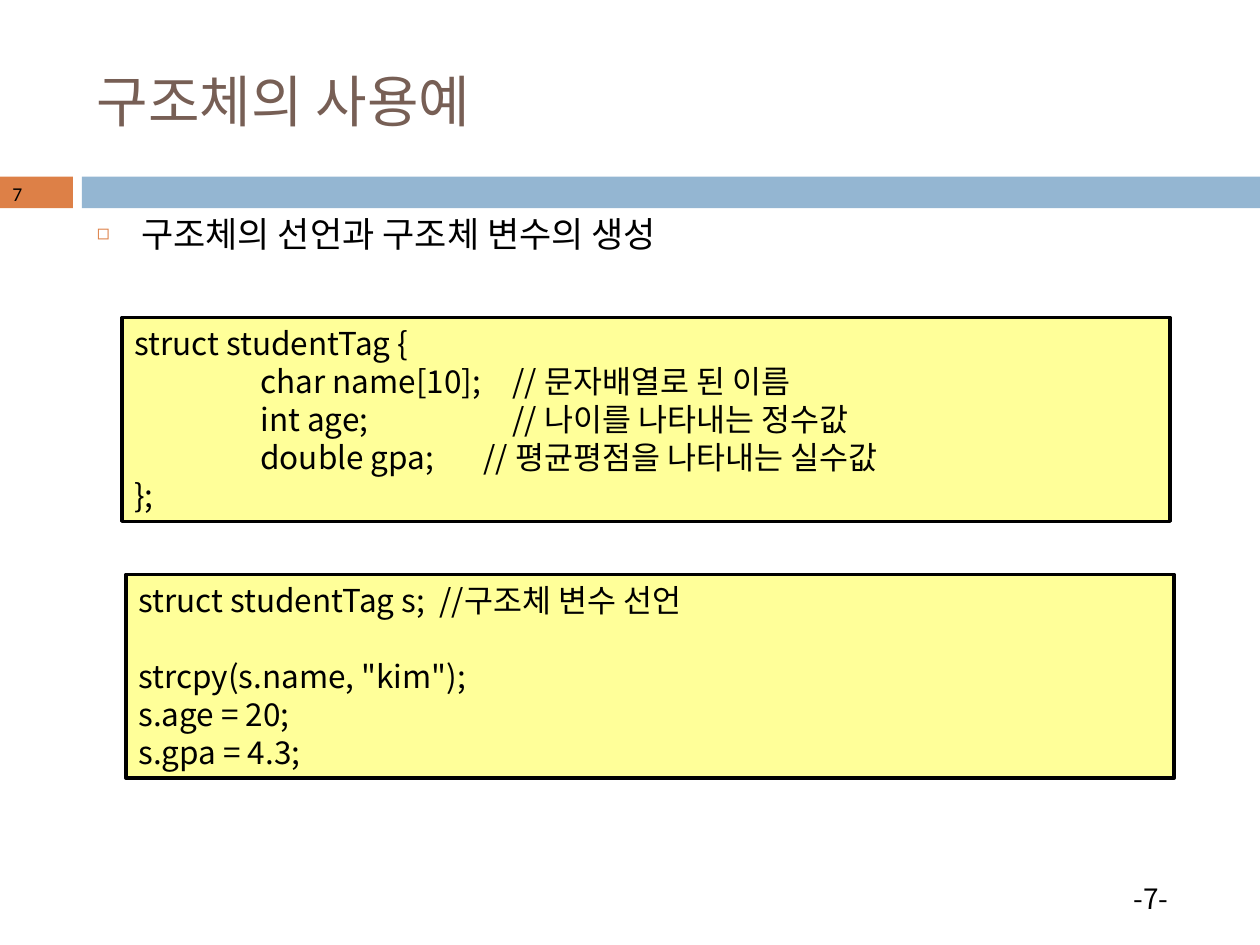
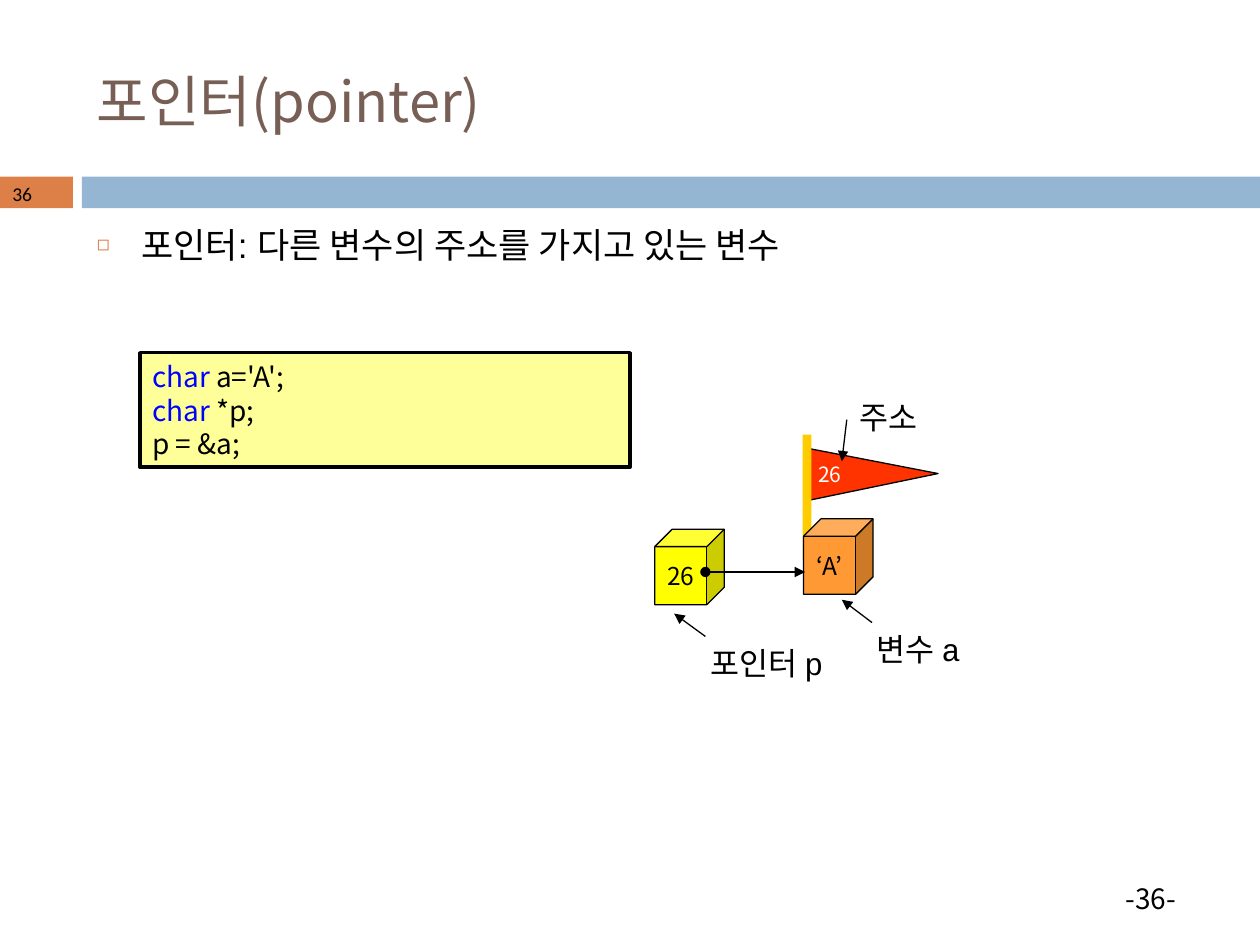
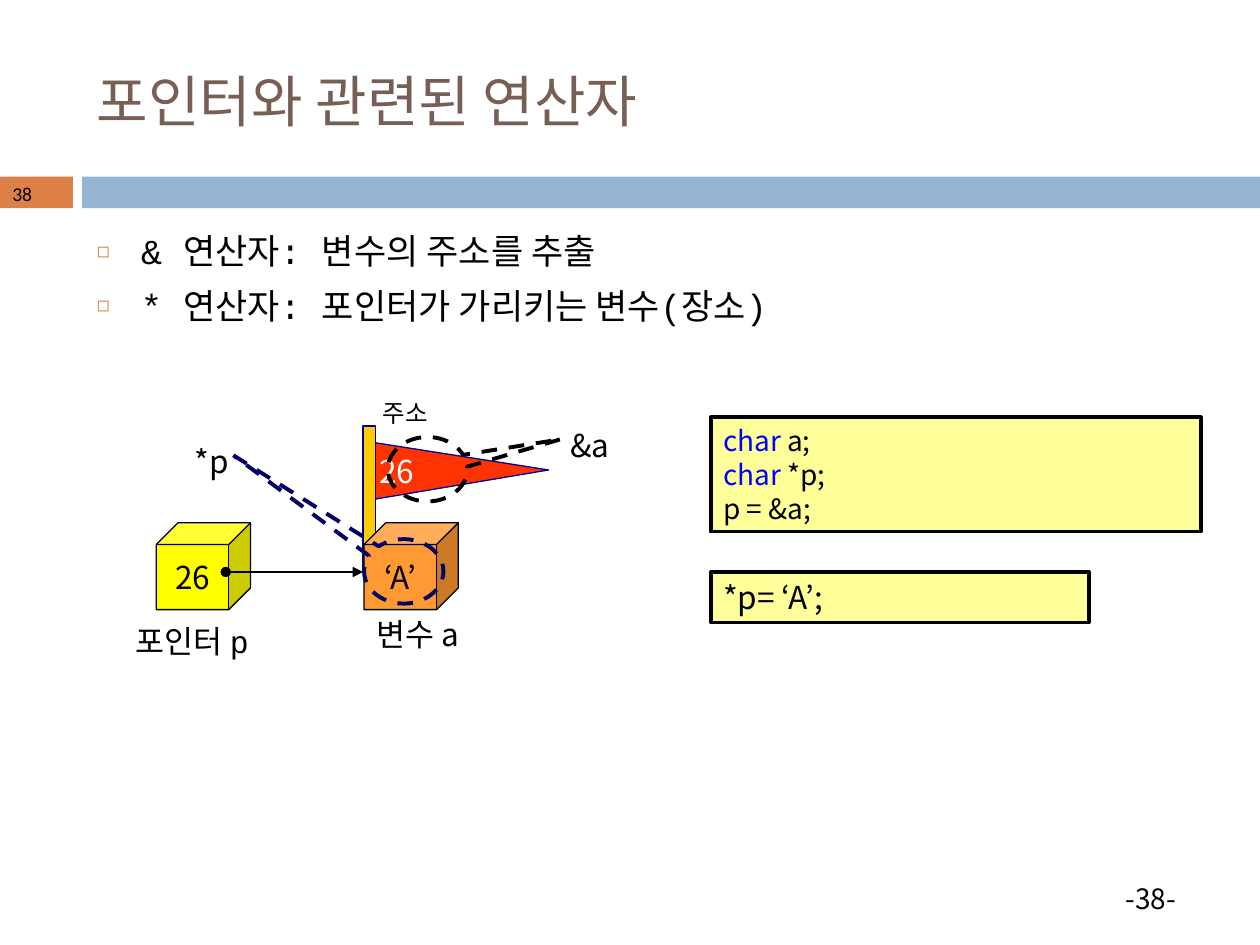
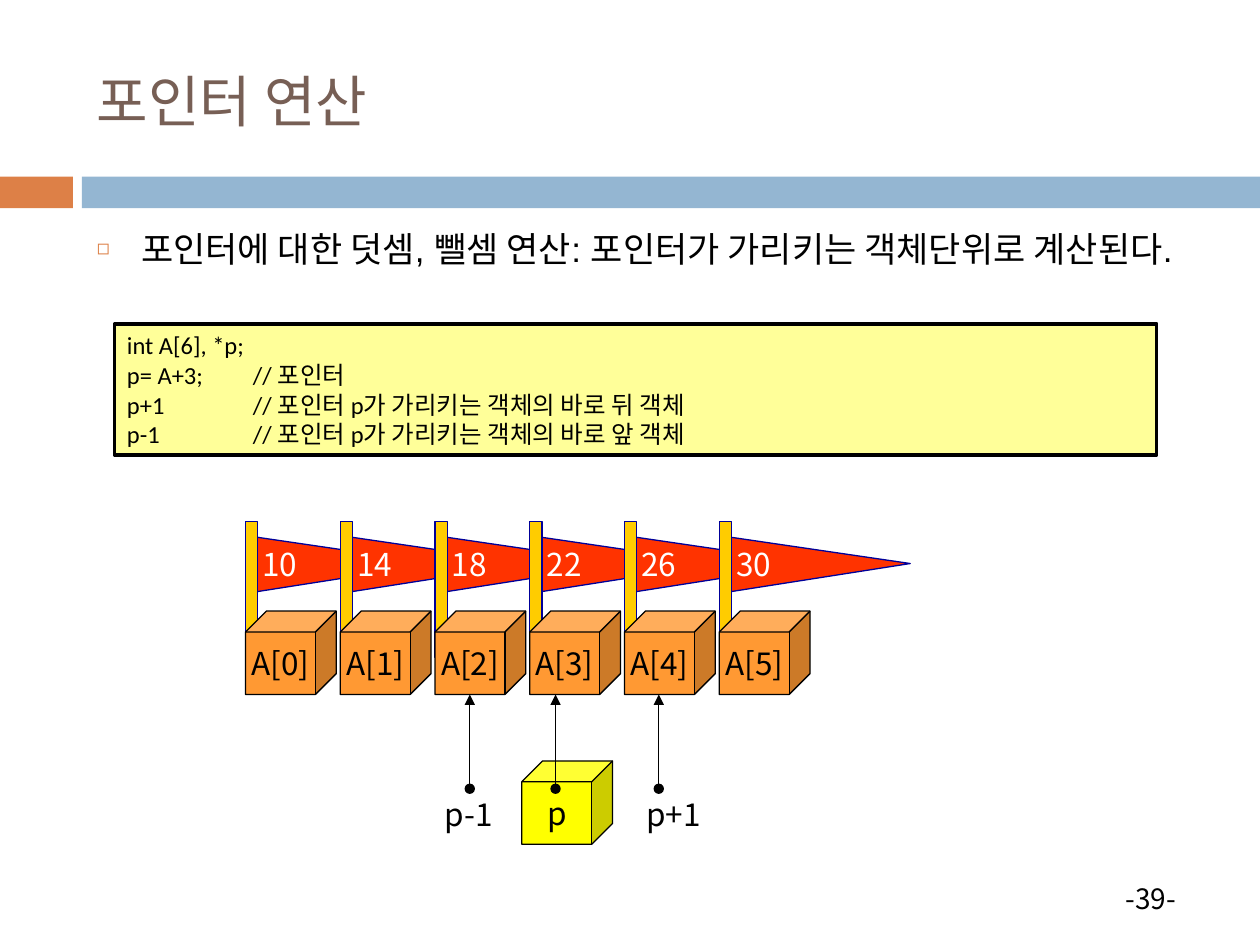
from lxml.etree import SubElement
from pptx import Presentation
from pptx.dml.color import RGBColor
from pptx.enum.dml import MSO_LINE_DASH_STYLE as DASH
from pptx.enum.shapes import MSO_CONNECTOR, MSO_SHAPE as SHAPE
from pptx.enum.text import MSO_ANCHOR as ANCHOR, MSO_AUTO_SIZE, PP_ALIGN as ALIGN
from pptx.oxml.ns import qn
from pptx.util import Cm, Pt

COLORS = {
    "ink": "000000", "title": "775F55", "accent": "DD8047", "band": "94B6D2",
    "code": "FFFF99", "keyword": "0000FF", "flag": "FF3300", "pole": "FFCC00",
    "cell": "FF9933", "pointer": "FFFF00", "navy": "000099", "deep": "000066",
    "white": "FFFFFF",
}
KOREAN, SANS, MONO, NUMBER = "Noto Sans CJK KR", "Arial", "Courier New", "Calibri"
LINE_HEIGHT = 1.21
TAB_STEP = 2.54

# Boxes are (left, top, width, height) in centimetres.
TITLE_BOX = (1.7, 0.64, 22.66, 2.74)
NUMBER_BAND = (0, 3.56, 1.47, 0.64)
WIDE_BAND = (1.65, 3.56, 23.75, 0.64)
BAND_NUMBER = (0, 3.53, 1.47, 0.69)
FOOTER_BOX = (22.07, 17.65, 2.26, 0.94)

CHAR = ("char", "keyword")
PAGES = [
    dict(number=7, title="구조체의 사용예", body_box=(1.7, 4.14, 22, 1.12),
         bullets=["구조체의 선언과 구조체 변수의 생성"],
         code=[
             dict(box=(2.46, 6.4, 21.13, 4.11), size=18, lines=[
                 "struct studentTag {",
                 "\tchar name[10]; \t// 문자배열로 된 이름",
                 "\tint age;\t  \t// 나이를 나타내는 정수값",
                 "\tdouble gpa;       // 평균평점을 나타내는 실수값",
                 "};"]),
             dict(box=(2.54, 11.58, 21.13, 4.11), size=18, lines=[
                 "struct studentTag s;  //구조체 변수 선언",
                 "",
                 'strcpy(s.name, "kim");',
                 "s.age = 20;",
                 "s.gpa = 4.3;"])]),
    dict(number=36, title="포인터(pointer)", body_box=(1.7, 4.45, 21.51, 1.83),
         bullets=["포인터: 다른 변수의 주소를 가지고 있는 변수"], tightness=0.9,
         code=[dict(box=(2.82, 7.11, 9.88, 2.31), size=16, lines=[
             [CHAR, (" a='A';", "ink")], [CHAR, (" *p;", "ink")], "p = &a;"])],
         cells=dict(names=["‘A’"], addresses=["26"], size=14, flag_size=12,
                    pitch=0, outline="ink", pole_line=None,
                    pennant=(16.24, 9.03, 2.67, 1.07),
                    pole=(16.18, 8.76, 0.18, 2.54),
                    cube=(16.2, 10.46, 1.4, 1.52)),
         pointer=dict(text="26", box=(13.2, 10.67, 1.4, 1.52), size=14),
         labels=[("변수 a", (17.42, 12.57, 2.54, 1.02), 18, MONO),
                 ("주소", (17.07, 7.9, 1.78, 1.02), 18, MONO),
                 ("포인터 p", (14.07, 12.85, 3.18, 1.02), 18, MONO)],
         arrows=[((17.58, 12.55), (16.97, 12.09), False),
                 ((17.07, 8.46), (16.97, 9.3), False),
                 ((14.22, 12.83), (13.59, 12.37), False),
                 ((14.22, 11.53), (16.23, 11.53), True)]),
    dict(number=38, title="포인터와 관련된 연산자", body_box=(1.7, 4.5, 22, 3.4),
         bullets=["& 연산자: 변수의 주소를 추출",
                  "* 연산자: 포인터가 가리키는 변수(장소)"], body_font=MONO,
         code=[dict(box=(14.33, 11.53, 7.62, 1.02), size=18, lines=["*p= ‘A’;"]),
               dict(box=(14.33, 8.41, 9.88, 2.31), size=16, lines=[
                   [("char ", "keyword"), ("a;", "ink")],
                   [CHAR, (" *p;", "ink")], "p = &a;"])],
         cells=dict(names=["‘A’"], addresses=["26"], size=18, flag_size=18,
                    pitch=0, outline="navy", pole_line="navy",
                    pennant=(7.4, 8.9, 3.66, 1.19),
                    pole=(7.32, 8.59, 0.25, 2.92),
                    cube=(7.34, 10.54, 1.9, 1.75)),
         pointer=dict(text="26", box=(3.15, 10.54, 1.9, 1.75), size=18),
         labels=[("변수 a", (7.34, 12.27, 2.62, 0.97), 18, KOREAN),
                 ("주소", (7.47, 7.9, 2.49, 0.79), 14, MONO),
                 ("포인터 p", (2.49, 12.4, 3.43, 0.97), 18, MONO),
                 ("&a", (11.25, 8.46, 1.45, 0.97), 18, KOREAN),
                 ("*p", (3.68, 8.79, 1.32, 0.97), 18, KOREAN)],
         arrows=[((4.55, 11.53), (7.32, 11.53), True)],
         callouts=[((7.82, 8.81, 1.6, 1.3), (1.667, -0.461), "ink"),
                   ((7.34, 10.87, 1.6, 1.3), (-2.147, -1.801), "deep")]),
    dict(number=39, title="포인터 연산", body_box=(1.7, 4.45, 22, 3.2),
         bullets=["포인터에 대한 덧셈, 뺄셈 연산: 포인터가 가리키는 객체단위로 계산된다."],
         band_number=False,
         code=[dict(box=(2.31, 6.53, 21.01, 2.64), size=14, font=NUMBER, lines=[
             "int A[6], *p;",
             "p= A+3;    \t// 포인터",
             "p+1  \t// 포인터 p가 가리키는 객체의 바로 뒤 객체",
             "p-1  \t// 포인터 p가 가리키는 객체의 바로 앞 객체"])],
         cells=dict(names=[f"A[{i}]" for i in range(6)],
                    addresses=[str(10 + 4 * i) for i in range(6)],
                    size=18, flag_size=18, pitch=1.91, outline="navy",
                    pole_line="navy", pennant=(5.04, 10.81, 3.76, 1.14),
                    pole=(4.95, 10.52, 0.25, 2.74),
                    cube=(4.95, 12.32, 1.83, 1.68)),
         pointer=dict(text="p", box=(10.52, 15.34, 1.83, 1.68), size=18),
         labels=[("p+1", (12.78, 15.9, 1.7, 1.02), 18, KOREAN),
                 ("p-1", (8.71, 15.9, 1.7, 1.02), 18, KOREAN)],
         arrows=[((x, 15.9), (x, 14), True) for x in (11.2, 13.28, 9.47)]),
]


def rgb(color):
    return RGBColor.from_string(COLORS[color])


def lengths(box):
    return [Cm(value) for value in box]


def shifted(box, dx):
    return (box[0] + dx, *box[1:])


def add_tabs(paragraph):
    tabs = SubElement(paragraph._p.get_or_add_pPr(), qn("a:tabLst"))
    for stop in (1, 2, 3):
        SubElement(tabs, qn("a:tab"), pos=str(Cm(TAB_STEP * stop)), algn="l")


def add_bullet(paragraph):
    properties = paragraph._p.get_or_add_pPr()
    properties.set("marL", str(Cm(0.89)))
    properties.set("indent", str(Cm(-0.89)))
    color = SubElement(properties, qn("a:buClr"))
    SubElement(color, qn("a:srgbClr"), val=COLORS["accent"])
    SubElement(properties, qn("a:buSzPct"), val="60000")
    SubElement(properties, qn("a:buChar"), char="◻")


def write(shape, lines, size, font=KOREAN, color="ink", align=ALIGN.LEFT,
          anchor=ANCHOR.TOP, wrap=True, decorate=None, gap=0, tightness=1):
    """Fill a shape with lines; an empty line becomes space before the next one."""
    frame = shape.text_frame
    frame.word_wrap = wrap
    frame.auto_size = MSO_AUTO_SIZE.NONE
    frame.vertical_anchor = anchor
    height = size * LINE_HEIGHT * tightness
    paragraph, space = frame.paragraphs[0], 0
    for index, line in enumerate(lines):
        if not line:
            space += height
            continue
        if index:
            paragraph = frame.add_paragraph()
        if decorate:
            decorate(paragraph)
        paragraph.alignment = align
        paragraph.line_spacing = Pt(height)
        paragraph.space_before = Pt(space)
        space = gap
        for text, ink in [(line, color)] if isinstance(line, str) else line:
            run = paragraph.add_run()
            run.text = text
            run.font.size = Pt(size)
            run.font.name = font
            run.font.color.rgb = rgb(ink)
            SubElement(run._r.get_or_add_rPr(), qn("a:ea"), typeface=KOREAN)


def add_label(slide, text, box, size, font=KOREAN, align=ALIGN.LEFT):
    write(slide.shapes.add_textbox(*lengths(box)), [text], size, font, align=align)


def add_block(slide, preset, box, fill=None, line=None, weight=0.75):
    block = slide.shapes.add_shape(preset, *lengths(box))
    block.shadow.inherit = False
    if fill:
        block.fill.solid()
        block.fill.fore_color.rgb = rgb(fill)
    else:
        block.fill.background()
    if line:
        block.line.color.rgb = rgb(line)
        block.line.width = Pt(weight)
    else:
        block.line.fill.background()
    return block


def add_cube(slide, text, box, size, fill):
    cube = add_block(slide, SHAPE.CUBE, box, fill, "ink")
    write(cube, [text], size, align=ALIGN.CENTER, anchor=ANCHOR.MIDDLE, wrap=False)


def add_pennant(slide, text, box, size, outline):
    """Triangle turned to point right, with its text kept upright."""
    left, top, width, height = box
    turn = (width - height) / 2
    pennant = add_block(slide, SHAPE.ISOSCELES_TRIANGLE,
                        (left + turn, top - turn, height, width), "flag", outline)
    pennant.adjustments[0] = 0.484
    pennant.rotation = 90
    write(pennant, [text], size, color="white", anchor=ANCHOR.MIDDLE)
    pennant.text_frame._txBody.bodyPr.set("vert", "vert270")


def add_cells(slide, cells):
    for index, (name, address) in enumerate(zip(cells["names"], cells["addresses"])):
        pennant, pole, cube = (shifted(cells[part], index * cells["pitch"])
                               for part in ("pennant", "pole", "cube"))
        add_pennant(slide, address, pennant, cells["flag_size"], cells["outline"])
        add_block(slide, SHAPE.RECTANGLE, pole, "pole", cells["pole_line"])
        add_cube(slide, name, cube, cells["size"], "cell")


def add_arrow(slide, start, end, dotted):
    arrow = slide.shapes.add_connector(MSO_CONNECTOR.STRAIGHT, *lengths(start + end))
    arrow.line.color.rgb = rgb("ink")
    arrow.line.width = Pt(0.75)
    line = arrow.line._get_or_add_ln()
    if dotted:
        SubElement(line, qn("a:headEnd"), type="oval")
    SubElement(line, qn("a:tailEnd"), type="triangle")
    SubElement(arrow._element.spPr, qn("a:effectLst"))


def add_callout(slide, box, tip, color):
    callout = add_block(slide, SHAPE.OVAL_CALLOUT, box, line=color, weight=2.25)
    callout.line.dash_style = DASH.DASH
    callout.adjustments[0], callout.adjustments[1] = tip


def place(shape, box):
    shape.left, shape.top, shape.width, shape.height = lengths(box)


def prepare_layout(layout, slide):
    """Give the layout its title place and the two bands, drawn by way of a slide."""
    place(layout.placeholders[0], TITLE_BOX)
    for box, fill in ((NUMBER_BAND, "accent"), (WIDE_BAND, "band")):
        band = add_block(slide, SHAPE.RECTANGLE, box, fill)
        layout.shapes.element.insert(2, band.element)


def fill_page(slide, page):
    write(slide.shapes.title, [page["title"]], 32, color="title", anchor=ANCHOR.MIDDLE)
    body = slide.placeholders[1]
    place(body, page["body_box"])
    write(body, page["bullets"], 20, page.get("body_font", SANS), decorate=add_bullet,
          gap=7, tightness=page.get("tightness", 1))
    for code in page["code"]:
        panel = add_block(slide, SHAPE.RECTANGLE, code["box"], "code", "ink", 2)
        write(panel, code["lines"], code["size"], code.get("font", KOREAN),
              align=ALIGN.JUSTIFY, decorate=add_tabs)
    if "cells" in page:
        add_cells(slide, page["cells"])
        add_cube(slide, fill="pointer", **page["pointer"])
    for label in page.get("labels", []):
        add_label(slide, *label)
    for arrow in page.get("arrows", []):
        add_arrow(slide, *arrow)
    for callout in page.get("callouts", []):
        add_callout(slide, *callout)
    if page.get("band_number", True):
        add_label(slide, str(page["number"]), BAND_NUMBER, 11.2, NUMBER)
    add_label(slide, f"-{page['number']}-", FOOTER_BOX, 16, align=ALIGN.CENTER)


def main():
    deck = Presentation()
    deck.slide_width, deck.slide_height = Cm(25.4), Cm(19.05)
    layout = deck.slide_layouts[1]
    slides = [deck.slides.add_slide(layout) for _ in PAGES]
    prepare_layout(layout, slides[0])
    for slide, page in zip(slides, PAGES):
        fill_page(slide, page)
    deck.save("out.pptx")


if __name__ == "__main__":
    main()
